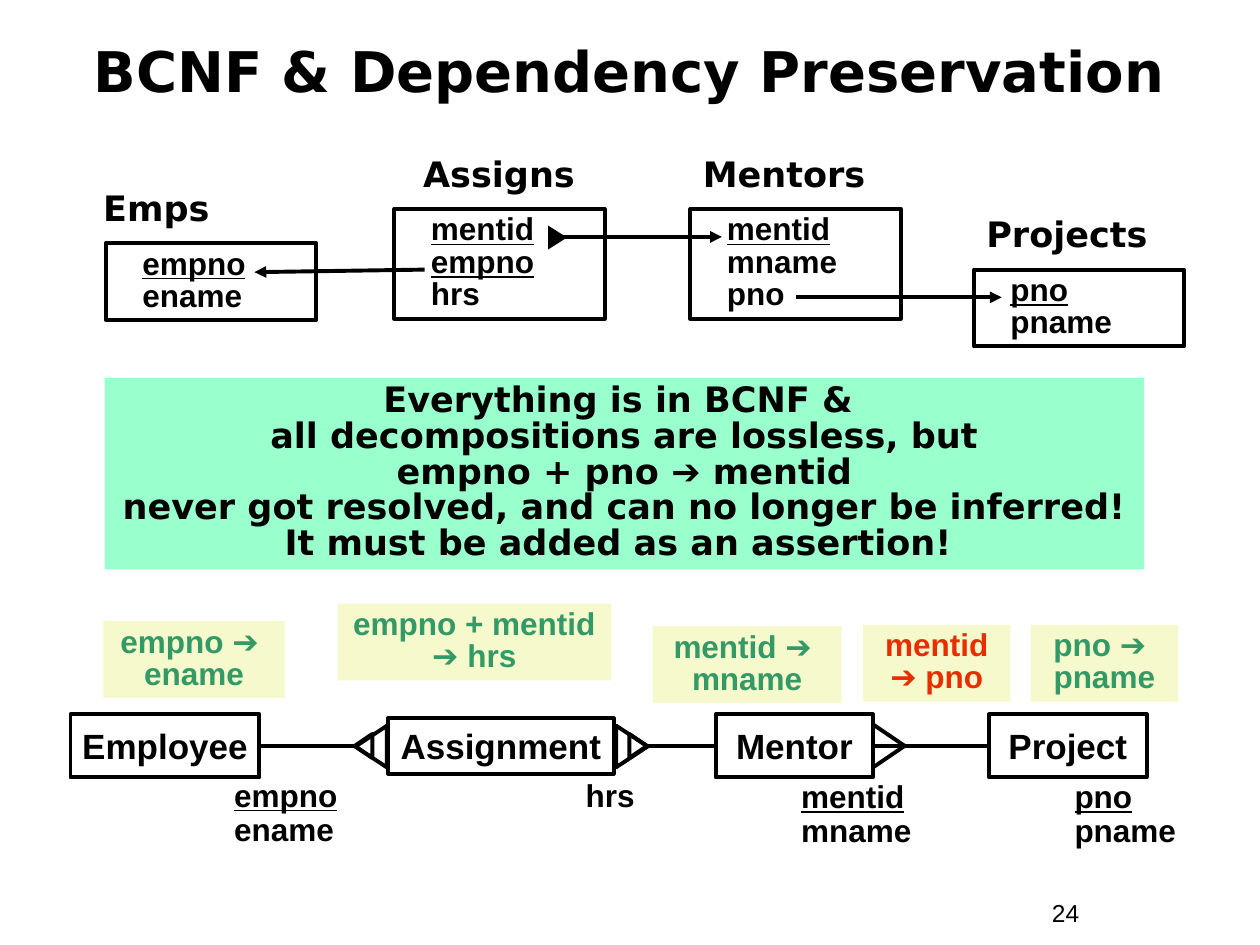
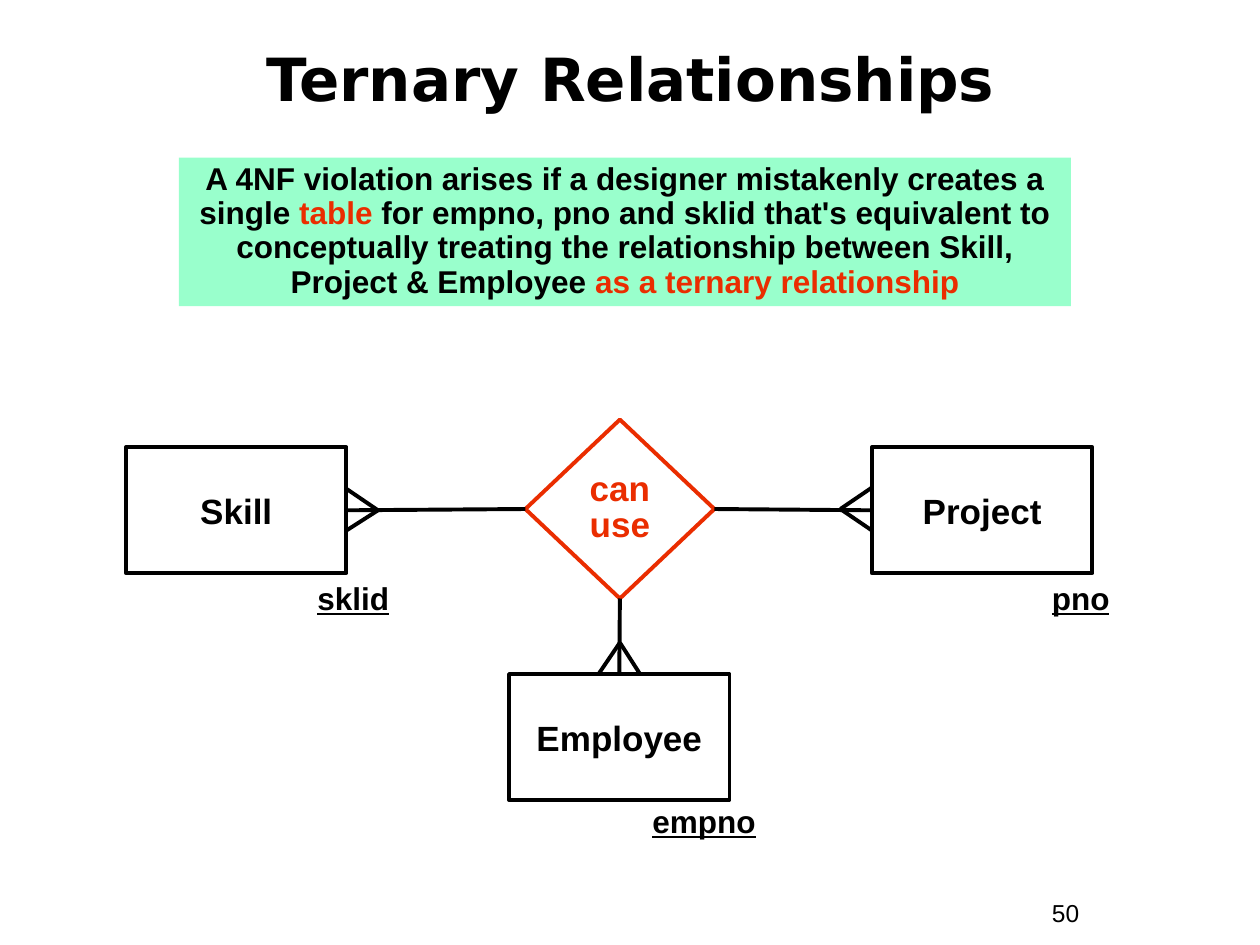
from lxml.etree import SubElement
from pptx import Presentation
from pptx.dml.color import RGBColor
from pptx.enum.shapes import MSO_CONNECTOR, MSO_SHAPE
from pptx.enum.text import MSO_ANCHOR, PP_ALIGN
from pptx.oxml.ns import qn
from pptx.util import Inches, Pt

BLACK = RGBColor(0x00, 0x00, 0x00)
RED = RGBColor(0xEA, 0x2D, 0x00)
GREEN = RGBColor(0x33, 0x99, 0x66)
MINT = RGBColor(0x99, 0xFF, 0xCC)
CREAM = RGBColor(0xF6, 0xF9, 0xCB)

BODY_FONT = "Arial"
HEADING_FONT = "DejaVu Sans"
TOP, LEFT, BOTTOM, RIGHT = range(4)
CENTERED = {"alignment": PP_ALIGN.CENTER}
TIGHT = {"line_spacing": 0.85}
LOOSE = {"line_spacing": 0.9}
KEY = {"underline": True}
ALERT = {"color": RED}


class Deck:
    line_width = Pt(2.25)
    font = {"name": BODY_FONT, "size": 18, "bold": True, "color": BLACK}
    frame = {
        "word_wrap": True,
        "vertical_anchor": MSO_ANCHOR.TOP,
        "margin_left": Inches(0.1),
        "margin_right": Inches(0.1),
        "margin_top": Inches(0.05),
        "margin_bottom": Inches(0.05),
    }

    def __init__(self):
        self.presentation = Presentation()
        self.presentation.slide_width = Inches(10)
        self.presentation.slide_height = Inches(7.5)
        self.slide = None

    def start_slide(self, title, number, box, size):
        self.slide = self.presentation.slides.add_slide(self.presentation.slide_layouts[6])
        self.text(
            box, [[title]],
            font={"name": HEADING_FONT, "size": size},
            paragraph=CENTERED | TIGHT,
            frame={"vertical_anchor": MSO_ANCHOR.MIDDLE},
        )
        self.text((8.25, 7.08, 0.92, 0.34), [[number]], font={"size": 14, "bold": False})

    def apply(self, target, values):
        for name, value in values.items():
            setattr(target, name, value)

    def format_font(self, font, values):
        values = dict(values)
        font.color.rgb = values.pop("color")
        font.size = Pt(values.pop("size"))
        self.apply(font, values)

    def fill_text(self, shape, paragraphs, font=None, paragraph=None, frame=None):
        text_frame = shape.text_frame
        self.apply(text_frame, self.frame | (frame or {}))
        base = self.font | (font or {})
        for index, runs in enumerate(paragraphs):
            target = text_frame.add_paragraph() if index else text_frame.paragraphs[0]
            self.apply(target, {"alignment": PP_ALIGN.LEFT} | (paragraph or {}))
            for item in runs:
                words, change = (item, {}) if isinstance(item, str) else item
                for position, piece in enumerate(words.split("\n")):
                    if position:
                        target.add_line_break()
                    run = target.add_run()
                    run.text = piece
                    self.format_font(run.font, base | change)

    def text(self, box, paragraphs, **formats):
        shape = self.slide.shapes.add_textbox(*map(Inches, box))
        self.fill_text(shape, paragraphs, **formats)

    def shape(self, box, kind=MSO_SHAPE.RECTANGLE, fill=None, line=None):
        shape = self.slide.shapes.add_shape(kind, *map(Inches, box))
        shape.shadow.inherit = False
        if fill is None:
            shape.fill.background()
        else:
            shape.fill.solid()
            shape.fill.fore_color.rgb = fill
        if line is None:
            shape.line.fill.background()
        else:
            shape.line.color.rgb = line
            shape.line.width = self.line_width
        return shape

    def entity(self, box, name, kind=MSO_SHAPE.RECTANGLE, color=BLACK):
        shape = self.shape(box, kind, line=color)
        self.fill_text(
            shape, [[name]],
            font={"size": 20, "color": color},
            paragraph=CENTERED | TIGHT if "\n" in name else CENTERED,
            frame={"word_wrap": False, "vertical_anchor": MSO_ANCHOR.MIDDLE},
        )
        return shape

    def attributes(self, left, top, width, paragraphs):
        height = 0.1 + 0.27 * len(paragraphs)
        self.text((left, top, width, height), paragraphs, paragraph=LOOSE)

    def relation(self, name, name_left, left, top, columns):
        self.text((name_left, top - 0.5, 1.67, 0.44), [[name]],
                  font={"name": HEADING_FONT, "size": 20})
        shape = self.shape((left, top, 1.67, 0.09 + 0.26 * len(columns)), line=BLACK)
        self.fill_text(shape, columns, paragraph=TIGHT, frame={"margin_left": Inches(0.29)})

    def panel(self, box, runs, fill, spacing=TIGHT, **font):
        shape = self.shape(box, fill=fill)
        self.fill_text(shape, [runs], font=font, paragraph=CENTERED | spacing)

    def triangle(self, box, rotation, **colors):
        shape = self.shape(box, MSO_SHAPE.ISOSCELES_TRIANGLE, **colors)
        shape.rotation = rotation

    def line(self, start, end, arrow=False):
        connector = self.slide.shapes.add_connector(
            MSO_CONNECTOR.STRAIGHT, *map(Inches, start + end))
        connector.line.color.rgb = BLACK
        connector.line.width = self.line_width
        properties = connector._element.spPr
        if arrow:
            SubElement(properties.find(qn("a:ln")), qn("a:tailEnd"), type="triangle")
        SubElement(properties, qn("a:effectLst"))
        return connector

    def crow_foot(self, apex, *toes):
        for toe in toes:
            self.line(apex, toe)


def build_preservation(deck):
    deck.start_slide("BCNF & Dependency Preservation", "24", (0.33, 0.14, 9.33, 0.92), 32)

    empno, mentid, pno = ([(name, KEY)] for name in ("empno", "mentid", "pno"))
    relations = [
        ("Emps", 0.72, 0.84, 1.93, [empno, ["ename"]]),
        ("Assigns", 3.26, 3.13, 1.66, [mentid, empno, ["hrs"]]),
        ("Mentors", 5.48, 5.48, 1.66, [mentid, ["mname"], ["pno"]]),
        ("Projects", 7.73, 7.73, 2.14, [pno, ["pname"]]),
    ]
    for relation in relations:
        deck.relation(*relation)
    deck.line((3.37, 2.14), (2.02, 2.16), arrow=True)
    deck.line((4.36, 1.88), (5.73, 1.88), arrow=True)
    deck.line((6.32, 2.36), (7.95, 2.36), arrow=True)
    deck.triangle((4.33, 1.81, 0.19, 0.15), 90, fill=BLACK)

    conclusion = [
        "Everything is in BCNF & \nall decompositions are lossless, but\nempno + pno ",
        ("➔", {"name": BODY_FONT}),
        " mentid\nnever got resolved, and can no longer be inferred!\n"
        "It must be added as an assertion! ",
    ]
    deck.panel((0.83, 3, 8.25, 1.52), conclusion, MINT, name=HEADING_FONT, size=20)

    dependencies = [
        (0.82, 4.93, 1.44, "empno ➔ \nename", GREEN),
        (2.68, 4.79, 2.17, "empno + mentid ➔ hrs", GREEN),
        (5.18, 4.97, 1.5, "mentid ➔ \nmname", GREEN),
        (6.85, 4.96, 1.17, "mentid ➔ pno", RED),
        (8.18, 4.96, 1.17, "pno ➔ \npname", GREEN),
    ]
    for left, top, width, words, color in dependencies:
        deck.panel((left, top, width, 0.61), [words], CREAM, color=color)

    employee = deck.entity((0.56, 5.67, 1.5, 0.5), "Employee")
    deck.entity((3.08, 5.7, 1.79, 0.44), "Assignment")
    mentor = deck.entity((5.68, 5.67, 1.25, 0.5), "Mentor")
    project = deck.entity((7.85, 5.67, 1.25, 0.5), "Project")
    deck.attributes(1.76, 6.14, 1.17, [empno, ["ename"]])
    deck.attributes(4.55, 6.14, 0.65, [["hrs"]])
    deck.attributes(6.26, 6.15, 1.17, [mentid, ["mname"]])
    deck.attributes(8.43, 6.15, 1.17, [pno, ["pname"]])

    deck.line((2.06, 5.92), (2.82, 5.92)).begin_connect(employee, RIGHT)
    deck.line((5.14, 5.92), (5.68, 5.92)).end_connect(mentor, LEFT)
    mentor_project = deck.line((6.93, 5.92), (7.85, 5.92))
    mentor_project.begin_connect(mentor, RIGHT)
    mentor_project.end_connect(project, LEFT)
    deck.crow_foot((7.18, 5.92), (6.93, 5.75), (6.93, 6.09))
    for outer_left, inner_left, rotation in [(2.78, 2.79, 270), (4.85, 4.97, 90)]:
        deck.triangle((outer_left, 5.8, 0.33, 0.25), rotation, line=BLACK)
        deck.triangle((inner_left, 5.85, 0.19, 0.14), rotation, line=BLACK)


def build_ternary(deck):
    deck.start_slide("Ternary Relationships", "50", (0.17, 0.33, 9.67, 0.67), 34)

    violation = [
        "A 4NF violation arises if a designer mistakenly creates a single ",
        ("table", ALERT),
        " for empno, pno and sklid that's equivalent to conceptually treating "
        "the relationship between Skill, Project & Employee ",
        ("as a ternary relationship", ALERT),
    ]
    deck.panel((1.42, 1.25, 7.08, 1.18), violation, MINT, LOOSE)

    can_use = deck.entity((4.17, 3.33, 1.5, 1.42), "can\nuse",
                          MSO_SHAPE.FLOWCHART_DECISION, RED)
    entities = [
        ("Skill", 1, 3.55, "sklid", 2.42, 4.58, LEFT, RIGHT),
        ("Project", 6.92, 3.55, "pno", 8.25, 4.58, RIGHT, LEFT),
        ("Employee", 4.04, 5.35, "empno", 5.08, 6.35, BOTTOM, TOP),
    ]
    for name, left, top, key, key_left, key_top, diamond_side, entity_side in entities:
        entity = deck.entity((left, top, 1.75, 1), name)
        deck.attributes(key_left, key_top, 1.17, [[(key, KEY)]])
        link = deck.line((4.92, 4.04), (left, top))
        link.begin_connect(can_use, diamond_side)
        link.end_connect(entity, entity_side)

    deck.crow_foot((3, 4.05), (2.75, 3.88), (2.75, 4.21))
    deck.crow_foot((6.67, 4.04), (6.92, 3.87), (6.92, 4.21))
    deck.crow_foot((4.92, 5.1), (4.75, 5.35), (5.08, 5.35))


def main():
    deck = Deck()
    build_preservation(deck)
    build_ternary(deck)
    deck.presentation.save("out.pptx")


if __name__ == "__main__":
    main()
